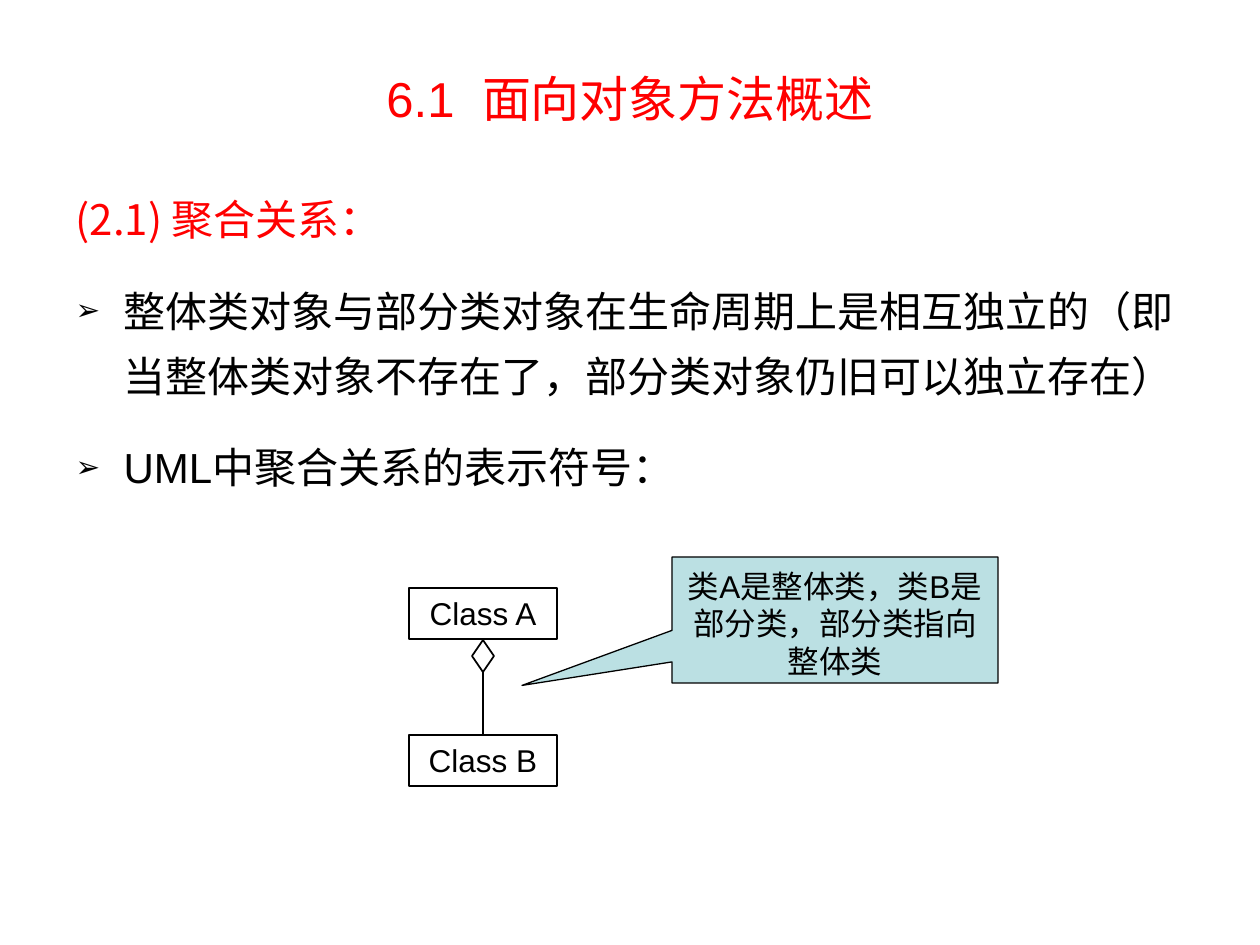
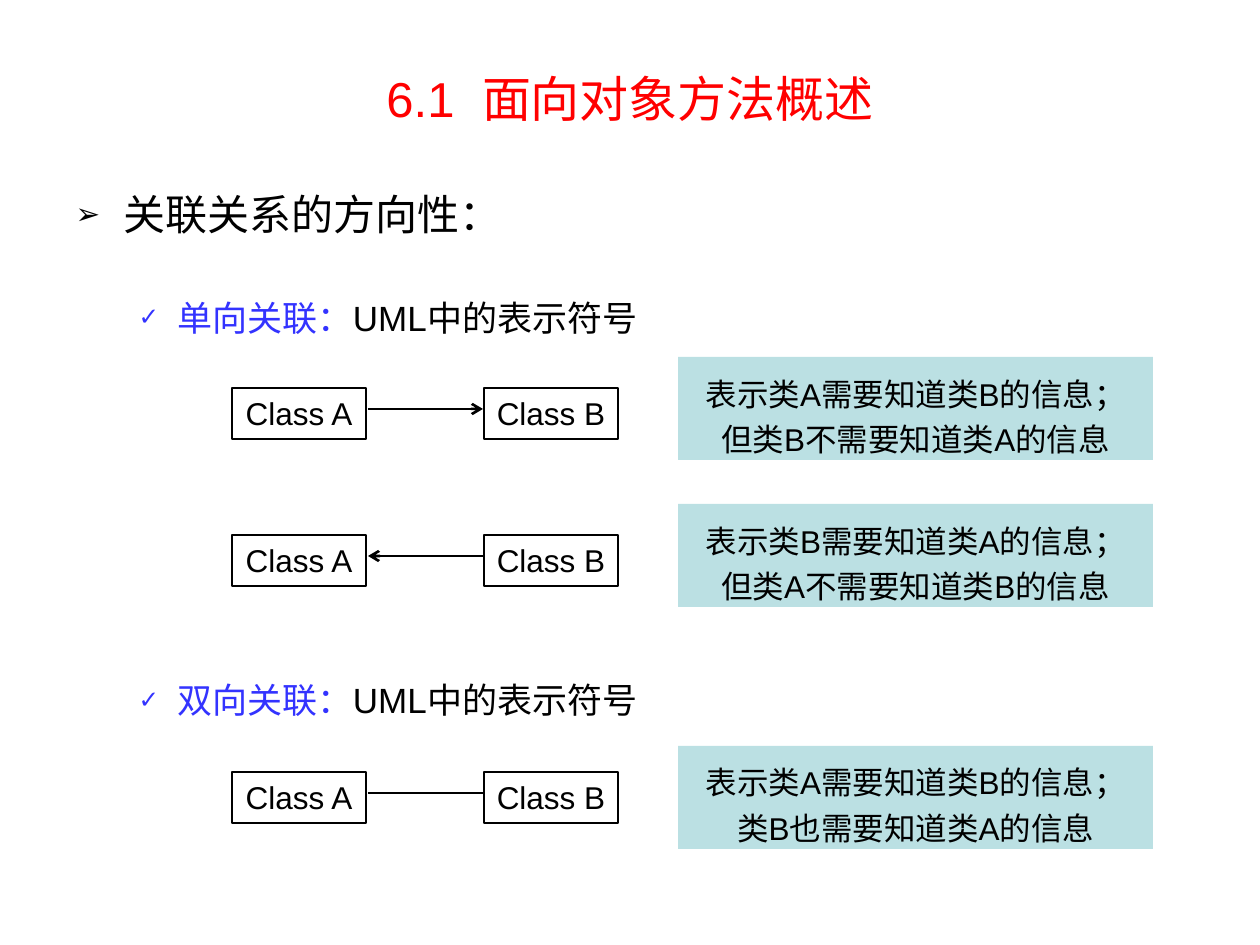
from dataclasses import dataclass
from typing import Optional

import lxml.etree
import pptx
import pptx.dml.color
import pptx.enum.shapes
import pptx.enum.text
import pptx.oxml.ns
import pptx.util

EMU_PER_PX = 914400 / 126
LATIN_FONT = "Arial"
CHINESE_FONT = "Noto Sans CJK SC"
BLACK, RED, BLUE, WHITE, PALE_TEAL = "000000", "FF0000", "3333FF", "FFFFFF", "BBE0E3"
SHAPE = pptx.enum.shapes.MSO_SHAPE
ALIGN = pptx.enum.text.PP_ALIGN
ANCHOR = pptx.enum.text.MSO_ANCHOR
BODY_LEFT, BODY_WIDTH = 63, 1134


@dataclass(frozen=True)
class Box:
    left: int
    top: int
    width: int
    height: int


@dataclass(frozen=True)
class Span:
    text: str
    color: str = BLACK
    font: str = LATIN_FONT


@dataclass(frozen=True)
class ListStyle:
    size: int
    indent: int
    hanging: int
    line_height: float
    level: int = 0
    bullet: Optional[str] = None
    bullet_color: str = BLACK


@dataclass(frozen=True)
class ListItem:
    spans: tuple[Span, ...]
    style: ListStyle
    space_before: float = 0


@dataclass(frozen=True)
class Association:
    class_top: int
    note_top: int
    note_lines: tuple[str, str]
    arrow_end: Optional[str] = None


HEADING = ListStyle(24, 48, 48, 37.2)
POINT = ListStyle(24, 48, 48, 37.2, bullet="➢")
TOPIC = ListStyle(24, 48, 48, 28.6, bullet="➢")
SUBTOPIC = ListStyle(20, 102, 39, 28.6, level=1, bullet="✓", bullet_color=BLUE)

AGGREGATION_ITEMS = [
    ListItem((Span("(2.1) ", RED, CHINESE_FONT), Span("聚合关系：", RED)), HEADING),
    ListItem(
        (Span("整体类对象与部分类对象在生命周期上是相互独立的（即当整体类对象不存在了，部分类对象仍旧可以独立存在）", font=CHINESE_FONT),),
        POINT,
        15,
    ),
    ListItem((Span("UML"), Span("中聚合关系的表示符号：", font=CHINESE_FONT)), POINT, 15),
]


def subtopic(name: str, space_before: float) -> ListItem:
    spans = (Span(name, BLUE, CHINESE_FONT), Span("UML"), Span("中的表示符号", font=CHINESE_FONT))
    return ListItem(spans, SUBTOPIC, space_before)


DIRECTION_ITEMS = [
    ListItem((Span("关联关系的方向性："),), TOPIC),
    subtopic("单向关联：", 28),
    subtopic("双向关联：", 190),
]

ASSOCIATIONS = [
    Association(388, 357, ("表示类A需要知道类B的信息；", "但类B不需要知道类A的信息"), "tailEnd"),
    Association(535, 504, ("表示类B需要知道类A的信息；", "但类A不需要知道类B的信息"), "headEnd"),
    Association(772, 746, ("表示类A需要知道类B的信息；", "类B也需要知道类A的信息")),
]


def px(length: float) -> int:
    return round(length * EMU_PER_PX)


def rgb(color: str):
    return pptx.dml.color.RGBColor.from_string(color)


def add_element(parent, tag: str, **attributes: str):
    element = lxml.etree.SubElement(parent, pptx.oxml.ns.qn(tag))
    for name, value in attributes.items():
        element.set(name, value)
    return element


def write_text(paragraph, text: str, *, size: float = 18, color: str = BLACK,
               font: str = LATIN_FONT, spacing: int = 0) -> None:
    run = paragraph.add_run()
    run.text = text
    run.font.size = pptx.util.Pt(size)
    run.font.color.rgb = rgb(color)
    run.font.name = font
    properties = run.font._element
    add_element(properties, "a:ea", typeface=CHINESE_FONT)
    if spacing:
        properties.set("spc", str(spacing))


def place(shape, box: Box) -> None:
    shape.left, shape.top = px(box.left), px(box.top)
    shape.width, shape.height = px(box.width), px(box.height)


def format_list_paragraph(paragraph, item: ListItem) -> None:
    style = item.style
    paragraph.level = style.level
    properties = paragraph._p.get_or_add_pPr()
    properties.set("marL", str(px(style.indent)))
    properties.set("indent", str(-px(style.hanging)))
    if style.bullet:
        color = add_element(properties, "a:buClr")
        add_element(color, "a:srgbClr", val=style.bullet_color)
        add_element(properties, "a:buSzPct", val="70000")
        add_element(properties, "a:buFont", typeface=LATIN_FONT)
        add_element(properties, "a:buChar", char=style.bullet)
    else:
        add_element(properties, "a:buNone")
    paragraph.alignment = ALIGN.LEFT
    paragraph.line_spacing = pptx.util.Pt(style.line_height)
    paragraph.space_before = pptx.util.Pt(item.space_before)


def add_content_slide(presentation, body_box: Box, items: list[ListItem]):
    slide = presentation.slides.add_slide(presentation.slide_layouts[1])
    title, body = slide.shapes.title, slide.placeholders[1]
    place(title, Box(BODY_LEFT, 38, BODY_WIDTH, 120))
    title.text_frame.vertical_anchor = ANCHOR.MIDDLE
    heading = title.text_frame.paragraphs[0]
    heading.alignment = ALIGN.CENTER
    write_text(heading, "6.1", size=28, color=RED)
    write_text(heading, " ", size=28, color=RED, spacing=800)
    write_text(heading, "面向对象方法概述", size=28, color=RED)

    place(body, body_box)
    frame = body.text_frame
    frame.auto_size = pptx.enum.text.MSO_AUTO_SIZE.NONE
    for index, item in enumerate(items):
        paragraph = frame.add_paragraph() if index else frame.paragraphs[0]
        format_list_paragraph(paragraph, item)
        for span in item.spans:
            write_text(paragraph, span.text, size=item.style.size, color=span.color, font=span.font)
    return slide


def add_box(slide, kind, box: Box, *, fill: Optional[str] = None, line_width: float = 0):
    shape = slide.shapes.add_shape(kind, px(box.left), px(box.top), px(box.width), px(box.height))
    shape.shadow.inherit = False
    if fill:
        shape.fill.solid()
        shape.fill.fore_color.rgb = rgb(fill)
    else:
        shape.fill.background()
    if line_width:
        shape.line.color.rgb = rgb(BLACK)
        shape.line.width = pptx.util.Pt(line_width)
    else:
        shape.line.fill.background()
    return shape


def fill_box(shape, lines: tuple[str, ...], *, wrap: bool = False,
             line_height: Optional[float] = None) -> None:
    frame = shape.text_frame
    frame.word_wrap = wrap
    frame.vertical_anchor = ANCHOR.TOP if line_height else ANCHOR.MIDDLE
    frame.margin_top = px(10 if line_height else 6)
    for index, line in enumerate(lines):
        paragraph = frame.add_paragraph() if index else frame.paragraphs[0]
        paragraph.alignment = ALIGN.CENTER
        if line_height:
            paragraph.line_spacing = pptx.util.Pt(line_height)
        write_text(paragraph, line)


def add_class(slide, name: str, box: Box) -> None:
    fill_box(add_box(slide, SHAPE.RECTANGLE, box, line_width=0.75), (name,))


def add_line(slide, start: tuple[int, int], end: tuple[int, int], *, width: float,
             arrow_end: Optional[str] = None) -> None:
    points = [px(value) for value in (*start, *end)]
    connector = slide.shapes.add_connector(pptx.enum.shapes.MSO_CONNECTOR.STRAIGHT, *points)
    connector.line.color.rgb = rgb(BLACK)
    connector.line.width = pptx.util.Pt(width)
    if arrow_end:
        add_element(connector.line._get_or_add_ln(), f"a:{arrow_end}", type="arrow")
    add_element(connector._element.spPr, "a:effectLst")


def add_aggregation_slide(presentation) -> None:
    slide = add_content_slide(presentation, Box(BODY_LEFT, 173, BODY_WIDTH, 683), AGGREGATION_ITEMS)
    add_box(slide, SHAPE.DIAMOND, Box(472, 640, 22, 32), fill=WHITE, line_width=1)
    add_line(slide, (483, 672), (483, 735), width=1)
    for name, top in (("Class A", 588), ("Class B", 735)):
        add_class(slide, name, Box(409, top, 148, 51))
    callout = add_box(slide, SHAPE.RECTANGULAR_CALLOUT, Box(672, 557, 326, 126),
                      fill=PALE_TEAL, line_width=0.75)
    callout.adjustments[0] = -0.96
    callout.adjustments[1] = 0.52
    fill_box(callout, ("类A是整体类，类B是部分类，部分类指向整体类",), wrap=True, line_height=21.4)


def add_association(slide, association: Association) -> None:
    line_top = association.class_top + 21
    add_line(slide, (368, line_top), (483, line_top), width=1.5, arrow_end=association.arrow_end)
    for name, left in (("Class A", 232), ("Class B", 484)):
        add_class(slide, name, Box(left, association.class_top, 134, 51))
    note = add_box(slide, SHAPE.RECTANGLE, Box(678, association.note_top, 475, 103), fill=PALE_TEAL)
    fill_box(note, association.note_lines, line_height=25.9)


def add_direction_slide(presentation) -> None:
    slide = add_content_slide(presentation, Box(BODY_LEFT, 183, BODY_WIDTH, 667), DIRECTION_ITEMS)
    for association in ASSOCIATIONS:
        add_association(slide, association)


def main() -> None:
    presentation = pptx.Presentation()
    presentation.slide_width, presentation.slide_height = px(1260), px(945)
    add_aggregation_slide(presentation)
    add_direction_slide(presentation)
    presentation.save("out.pptx")


if __name__ == "__main__":
    main()
